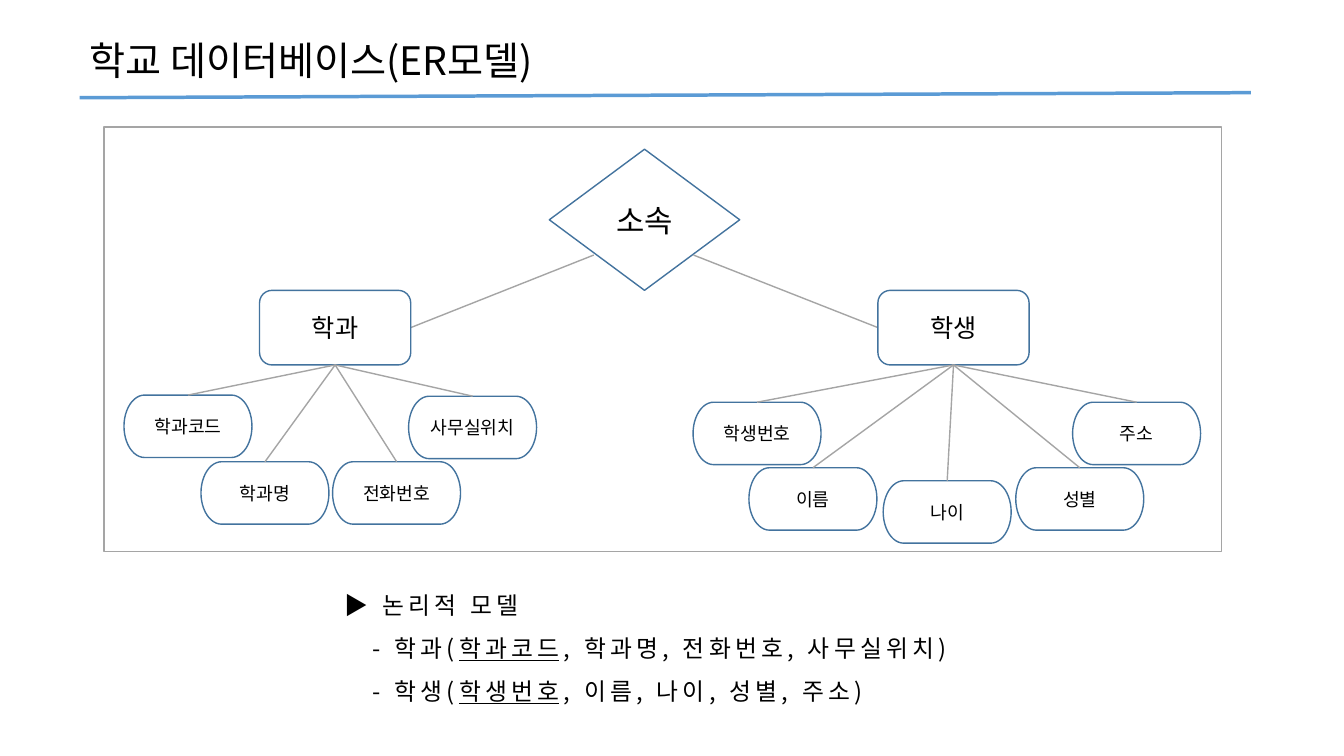
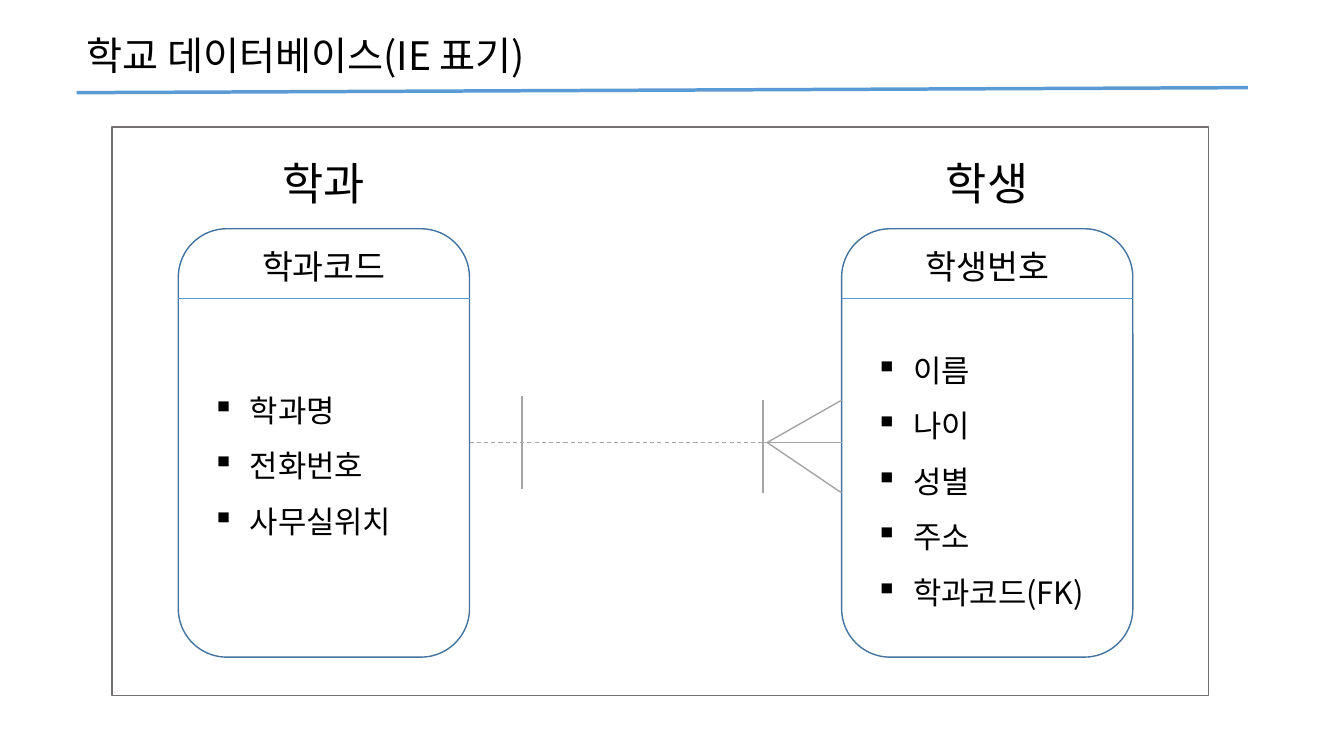
from dataclasses import dataclass

from lxml.etree import SubElement
from pptx import Presentation
from pptx.dml.color import RGBColor
from pptx.enum.dml import MSO_LINE
from pptx.enum.shapes import MSO_CONNECTOR, MSO_SHAPE
from pptx.enum.text import MSO_ANCHOR, PP_ALIGN
from pptx.oxml.ns import qn
from pptx.util import Pt


@dataclass(frozen=True)
class Theme:
    font: str = "Noto Sans CJK KR"
    text: str = "000000"
    paper: str = "FFFFFF"
    accent: str = "5B9BD5"
    outline: str = "43739E"
    link: str = "A5A5A5"
    frame: str = "767171"
    title: int = 28
    table: int = 32
    key: int = 24
    column: int = 22
    entity: int = 18
    note: int = 17
    attribute: int = 13


THEME = Theme()


def write(tf, text, size, align=PP_ALIGN.LEFT, leading=None, spacing=0,
          bullet=None, margins=(), indent=0, wrap=True):
    tf.word_wrap = wrap
    tf.vertical_anchor = MSO_ANCHOR.MIDDLE
    lines = [text] if isinstance(text, str) else text
    for i, line in enumerate(lines):
        p = tf.paragraphs[0] if i == 0 else tf.add_paragraph()
        p.alignment = align
        if leading:
            p.line_spacing = Pt(leading)
        pPr = p._p.get_or_add_pPr()
        if margins:
            pPr.set("marL", str(Pt(margins[i])))
            pPr.set("indent", str(Pt(indent)))
        if bullet:
            SubElement(pPr, qn("a:buChar")).set("char", bullet)
        for part, underline in [(line, False)] if isinstance(line, str) else line:
            r = p.add_run()
            r.text = part
            r.font.size = Pt(size)
            r.font.name = THEME.font
            r.font.color.rgb = RGBColor.from_string(THEME.text)
            if underline:
                r.font.underline = True
            rPr = r.font._element
            if spacing:
                rPr.set("spc", str(spacing * 100))
            SubElement(rPr, qn("a:ea")).set("typeface", THEME.font)


class Deck:
    """Holds the presentation style and the slide being drawn."""

    def __init__(self, theme):
        self.theme = theme
        self.prs = Presentation()
        self.prs.slide_width, self.prs.slide_height = Pt(960), Pt(540)

    def slide(self, x, y, title):
        self.s = self.prs.slides.add_slide(self.prs.slide_layouts[6])
        self.line((x, y + 47.5), (x + 836.6, y + 43.9), self.theme.accent, 2.5)
        self.text(x, y, 574, 41, title, self.theme.title)

    def text(self, x, y, w, h, text, size, **fmt):
        sp = self.s.shapes.add_textbox(Pt(x), Pt(y), Pt(w), Pt(h))
        write(sp.text_frame, text, size, **fmt)

    def shape(self, kind, x, y, w, h, color, fill=None, label=None, size=None):
        sp = self.s.shapes.add_shape(kind, Pt(x), Pt(y), Pt(w), Pt(h))
        sp.shadow.inherit = False
        if fill:
            sp.fill.solid()
            sp.fill.fore_color.rgb = RGBColor.from_string(fill)
        else:
            sp.fill.background()
        sp.line.color.rgb = RGBColor.from_string(color)
        sp.line.width = Pt(1)
        if label:
            write(sp.text_frame, label, size, align=PP_ALIGN.CENTER, wrap=False)

    def line(self, start, end, color, width=1, dash=None):
        points = [Pt(v) for v in (*start, *end)]
        c = self.s.shapes.add_connector(MSO_CONNECTOR.STRAIGHT, *points)
        c.line.color.rgb = RGBColor.from_string(color)
        c.line.width = Pt(width)
        if dash:
            c.line.dash_style = dash
        SubElement(c._element.spPr, qn("a:effectLst"))

    def entity(self, x, name, attributes):
        y, w, h = 207.4, 108, 53.3
        attr_w, attr_h = 91.4, 44.6
        t = self.theme
        self.shape(MSO_SHAPE.ROUNDED_RECTANGLE, x, y, w, h, t.outline,
                   label=name, size=t.entity)
        for label, ax, ay in attributes:
            self.shape(MSO_SHAPE.FLOWCHART_TERMINATOR, ax, ay, attr_w, attr_h,
                       t.outline, label=label, size=t.attribute)
            self.line((x + w / 2, y + h), (ax + attr_w / 2, ay), t.link)

    def table_card(self, x, name, key, columns, center):
        y, w, h, leading = 163.4, 208, 306, 39.6
        t = self.theme
        self.shape(MSO_SHAPE.ROUNDED_RECTANGLE, x, y, w, h, t.outline)
        self.line((x, 213.1), (x + w, 213.1), t.accent, 0.5)
        self.text(x - 37.5, 107.5, w + 75, 46, name, t.table, align=PP_ALIGN.CENTER)
        self.text(x + 17, 172, w - 34, 36, key, t.key, align=PP_ALIGN.CENTER)
        height = len(columns) * leading + 7.2
        self.text(x + 17, center - height / 2, w - 34, height, columns, t.column,
                  leading=leading, bullet="▪", margins=[27] * len(columns), indent=-27)


deck = Deck(THEME)

deck.slide(56.9, 22.3, "학교 데이터베이스(ER모델)")
deck.shape(MSO_SHAPE.RECTANGLE, 74.2, 90.7, 798.5, 303.1, THEME.link, THEME.paper)
deck.shape(MSO_SHAPE.FLOWCHART_DECISION, 392.4, 106.6, 136, 100.8, THEME.outline,
           label="소속", size=THEME.column)
deck.line((293.4, 234), (424.1, 182.2), THEME.link)
deck.line((495.4, 182.2), (627.1, 234), THEME.link)
deck.entity(185.4, "학과", [
    ("학과코드", 88.6, 282.2), ("학과명", 143.6, 329.8),
    ("전화번호", 237.6, 329.8), ("사무실위치", 291.9, 283)])
deck.entity(627.1, "학생", [
    ("학생번호", 495.1, 287.3), ("이름", 535, 334.1), ("나이", 630.9, 343.4),
    ("성별", 725.6, 334.1), ("주소", 766.2, 287.3)])
deck.text(239, 407.5, 600, 100, [
    "▶ 논리적 모델",
    [("- 학과(", False), ("학과코드", True), (", 학과명, 전화번호, 사무실위치)", False)],
    [("- 학생(", False), ("학생번호", True), (", 이름, 나이, 성별, 주소)", False)],
], THEME.note, leading=30.6, spacing=3, margins=[0, 20, 20])

deck.slide(54.7, 18.7, "학교 데이터베이스(IE 표기)")
deck.table_card(127.4, "학과", "학과코드", ["학과명", "전화번호", "사무실위치"], 325.8)
deck.table_card(601.2, "학생", "학생번호",
                ["이름", "나이", "성별", "주소", "학과코드(FK)"], 337)
axis, edge, fork = 316.1, 601.2, 548
deck.line((335.4, axis), (edge, axis), THEME.link, 0.75, MSO_LINE.DASH)
for toe in (285.8, 352.1):
    deck.line((fork, axis), (edge, toe), THEME.link)
deck.line((545, axis), (edge, axis), THEME.link)
for x, top in ((373, 283), (545, 285.8)):
    deck.line((x, top), (x, top + 66.2), THEME.link)
deck.shape(MSO_SHAPE.RECTANGLE, 79.9, 90.7, 783.4, 406.1, THEME.frame)

deck.prs.save("out.pptx")
